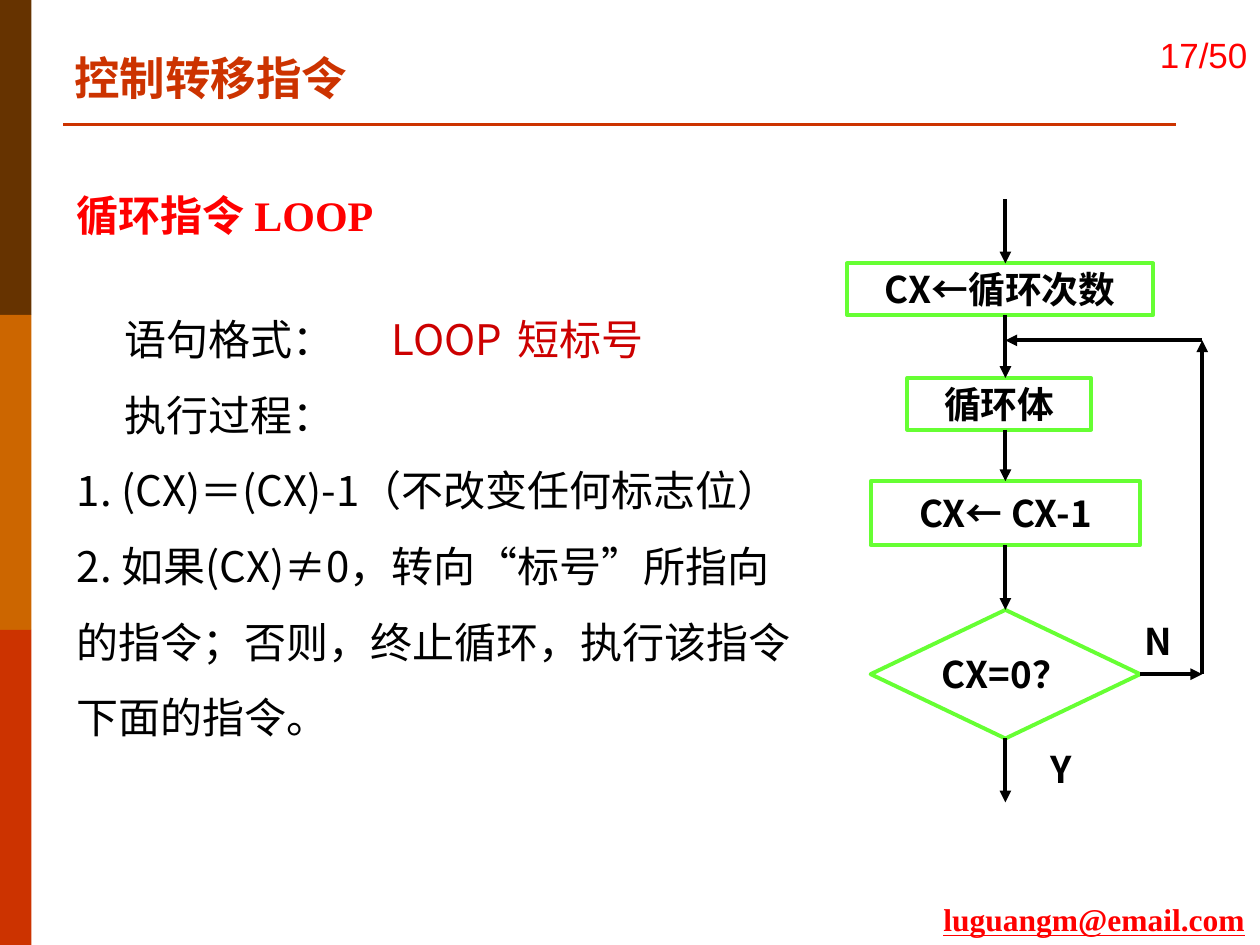
from lxml import etree
from pptx import Presentation, util as u
from pptx.dml.color import RGBColor
from pptx.enum import shapes, text
from pptx.oxml import ns

Pt = u.Pt
COLORS = {"brown": "663300", "orange": "CC6600", "rust": "CC3300", "red": "FF0000",
          "crimson": "CC0000", "green": "66FF33", "black": "000000"}
SERIF, SANS, CJK, CJK_BOLD = "Times New Roman", "Arial", "Noto Sans CJK SC", "Noto Sans CJK JP"
HEADING = {"name": SERIF, "size": Pt(26), "bold": True, "color": "rust"}
TOPIC = {"name": SERIF, "size": Pt(24), "bold": True, "color": "red"}
BODY = {"name": CJK, "size": Pt(24), "bold": False, "color": "black"}
SYNTAX = {**BODY, "color": "crimson"}
CHART = {"name": CJK_BOLD, "size": Pt(21), "bold": True, "color": "black"}
PAGE = {"name": SANS, "size": Pt(20), "color": "red"}
MAIL = {"name": SERIF, "size": Pt(18), "bold": True, "underline": True, "color": "red"}
TOP, LEFT, BOTTOM, RIGHT = range(4)
AXIS, LOOP_X, LOOP_Y = 574.5, 687, 194.5


def rgb(name):
    return RGBColor.from_string(COLORS[name])


def sub(parent, tag, **attrs):
    return etree.SubElement(parent, ns.qn(tag), attrs)


def add_run(p, words, fmt):
    r = p.add_run()
    r.text = words
    for key, value in fmt.items():
        if key == "color":
            r.font.color.rgb = rgb(value)
        else:
            setattr(r.font, key, value)
    sub(r.font._element, "a:ea", typeface=CJK_BOLD if fmt is CHART else CJK)


def set_frame(tf, anchor, wrap, margins):
    tf.word_wrap = wrap
    tf.vertical_anchor = anchor
    tf.margin_left = tf.margin_right = Pt(margins[0])
    tf.margin_top = tf.margin_bottom = Pt(margins[1])


def add_text(s, box, words, fmt, align="LEFT", anchor="TOP", wrap=False, margins=(7.2, 3.6)):
    tf = s.shapes.add_textbox(*map(Pt, box)).text_frame
    set_frame(tf, text.MSO_ANCHOR[anchor], wrap, margins)
    p = tf.paragraphs[0]
    p.alignment = text.PP_ALIGN[align]
    if words:
        add_run(p, words, fmt)
    return tf


def add_band(s, top, color):
    sp = s.shapes.add_shape(shapes.MSO_SHAPE.RECTANGLE, 0, Pt(top), Pt(18), Pt(180))
    sp.shadow.inherit = False
    sp.fill.solid()
    sp.fill.fore_color.rgb = rgb(color)
    sp.line.fill.background()


def add_step(s, box, words, kind="RECTANGLE"):
    sp = s.shapes.add_shape(shapes.MSO_SHAPE[kind], *map(Pt, box))
    sp.shadow.inherit = False
    sp.fill.background()
    sp.line.color.rgb = rgb("green")
    sp.line.width = Pt(2.25)
    set_frame(sp.text_frame, text.MSO_ANCHOR.MIDDLE, False, (0, 0))
    p = sp.text_frame.paragraphs[0]
    p.alignment = text.PP_ALIGN.CENTER
    add_run(p, words, CHART)
    return sp


def add_line(s, start, end, color="black", width=2.25, arrow=True, begin=None, finish=None):
    c = s.shapes.add_connector(shapes.MSO_CONNECTOR.STRAIGHT, *map(Pt, start + end))
    c.line.color.rgb = rgb(color)
    c.line.width = Pt(width)
    if arrow:
        sub(c.line._get_or_add_ln(), "a:tailEnd", type="triangle")
    sub(c._element.spPr, "a:effectLst")
    if begin:
        c.begin_connect(*begin)
    if finish:
        c.end_connect(*finish)


def add_body(s):
    tf = add_text(s, (35.3, 98, 434, 328), "循环指令 LOOP", TOPIC, wrap=True, margins=(8.64, 4.32))
    tf.paragraphs[0].line_spacing = 1.2
    lines = [
        (27, 28, [("语句格式：", BODY), ("\tLOOP\t短标号", SYNTAX)]),
        (27, 0, [("执行过程：", BODY)]),
        (0, 0, [("1. (CX)＝(CX)-1（不改变任何标志位）", BODY)]),
        (0, 0, [("2. 如果(CX)≠0，转向“标号”所指向的指令；否则，终止循环，执行该指令下面的指令。", BODY)]),
    ]
    for indent, before, runs in lines:
        p = tf.add_paragraph()
        p.line_spacing = 1.5
        p.space_before = Pt(before)
        pPr = p._p.get_or_add_pPr()
        pPr.set("marL", "0")
        pPr.set("indent", str(Pt(indent)))
        if len(runs) > 1:
            tabs = sub(pPr, "a:tabLst")
            for pos in (158, 238):
                sub(tabs, "a:tab", pos=str(Pt(pos)), algn="l")
        for words, fmt in runs:
            add_run(p, words, fmt)


def add_flowchart(s):
    add_step(s, (484, 150.5, 175, 29.5), "CX←循环次数")
    add_step(s, (518.5, 216, 105, 29.5), "循环体")
    count = add_step(s, (497.5, 275, 154, 36.5), "CX← CX-1")
    test = add_step(s, (497.5, 348.5, 154, 73.5), "CX=0？", "DIAMOND")
    middle = 385.25
    add_line(s, (AXIS, 114), (AXIS, 150.5))
    add_line(s, (AXIS, 180), (AXIS, 216))
    add_line(s, (AXIS, 245.5), (AXIS, 275), finish=(count, TOP))
    add_line(s, (AXIS, 311.5), (AXIS, 348.5), begin=(count, BOTTOM), finish=(test, TOP))
    add_line(s, (AXIS, 422), (AXIS, 458.5), begin=(test, BOTTOM))
    add_line(s, (651.5, middle), (LOOP_X, middle), begin=(test, RIGHT))
    add_line(s, (LOOP_X, middle), (LOOP_X, LOOP_Y))
    add_line(s, (LOOP_X, LOOP_Y), (AXIS, LOOP_Y))
    for words, left, top in (("Y", 589, 422), ("N", 644.5, 348.5)):
        add_text(s, (left, top, 35, 35), words, CHART, "CENTER", "MIDDLE", margins=(0, 0))


def main():
    prs = Presentation()
    prs.slide_width, prs.slide_height = Pt(720), Pt(540)
    s = prs.slides.add_slide(prs.slide_layouts[6])
    for i, color in enumerate(("brown", "orange", "rust")):
        add_band(s, i * 180, color)
    add_line(s, (36, 71.3), (672, 71.3), "rust", 1.5, arrow=False)
    add_text(s, (35.3, 25.2, 503, 39), "控制转移指令", HEADING, wrap=True)
    add_text(s, (632, 0.7, 88, 61), "17/50", PAGE, "RIGHT", "MIDDLE", wrap=True)
    add_text(s, (532, 511, 188, 29), "luguangm@email.com", MAIL)
    add_body(s)
    add_flowchart(s)
    prs.save("out.pptx")


if __name__ == "__main__":
    main()
